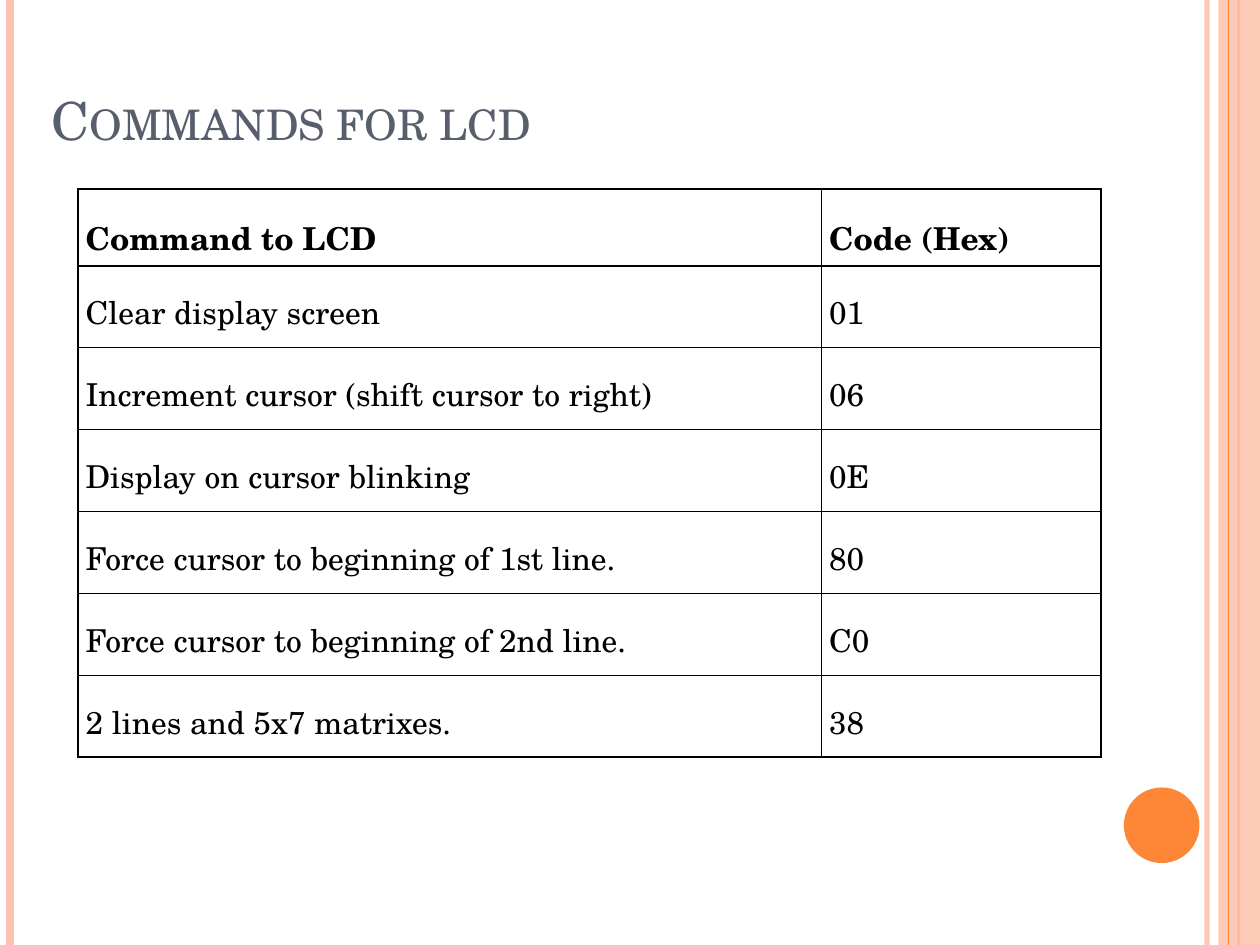
from lxml.etree import SubElement
from pptx import Presentation
from pptx.dml.color import RGBColor
from pptx.enum.shapes import MSO_CONNECTOR, MSO_SHAPE
from pptx.enum.text import MSO_ANCHOR, PP_ALIGN
from pptx.oxml import parse_xml
from pptx.oxml.ns import nsdecls, qn
from pptx.util import Inches, Pt

WIDE, HIGH = 10, 7.5
FONT = "TeX Gyre Schola"
HUES = {"peach": "FEC3AE", "orange": "FE8637", "slate": "575F6D", "black": "000000"}
COLS = [5.9, 2.22]
HEAD, ROW = 0.61, 0.65
ROWS = [
    ("Command to LCD", "Code (Hex)"),
    ("Clear display screen", "01"),
    ("Increment cursor (shift cursor to right)", "06"),
    ("Display on cursor blinking", "0E"),
    ("Force cursor to beginning of 1st line.", "80"),
    ("Force cursor to beginning of 2nd line.", "C0"),
    ("2 lines and 5x7 matrixes.", "38"),
]


def color(name):
    return RGBColor.from_string(HUES[name])


def fade(node, share):
    """Set the opacity, in percent, of the first solid colour in node."""
    hue = next(node.iter(qn("a:srgbClr")))
    SubElement(hue, qn("a:alpha")).set("val", str(share * 1000))


def write(frame, text, size=18, hue="black", bold=False, caps=False, space=None):
    para = frame.paragraphs[0]
    para.alignment = PP_ALIGN.LEFT
    para.line_spacing = space
    run = para.add_run()
    run.text = text
    font = run.font
    font.name, font.size, font.bold = FONT, Pt(size), bold
    font.color.rgb = color(hue)
    if caps:
        run.font._element.set("cap", "small")


def stripe(slide, x, hue, width, share=100):
    line = slide.shapes.add_connector(
        MSO_CONNECTOR.STRAIGHT, Inches(x), 0, Inches(x), Inches(HIGH))
    line.line.color.rgb = color(hue)
    line.line.width = Pt(width)
    props = line._element.spPr
    if share < 100:
        fade(props, share)
    SubElement(props, qn("a:effectLst"))


def block(slide, kind, box, hue, share=100):
    shape = slide.shapes.add_shape(kind, *map(Inches, box))
    shape.shadow.inherit = False
    shape.fill.solid()
    shape.fill.fore_color.rgb = color(hue)
    shape.line.fill.background()
    if share < 100:
        fade(shape._element.spPr, share)


def decor(slide):
    stripe(slide, 9.58, "peach", 3, share=93)
    stripe(slide, 0.08, "peach", 4.5)
    stripe(slide, 9.83, "orange", 1.5)
    block(slide, MSO_SHAPE.RECTANGLE, (9.67, 0, WIDE - 9.67, HIGH), "peach", share=87)
    stripe(slide, 9.75, "orange", 0.75)
    block(slide, MSO_SHAPE.OVAL, (8.92, 6.25, 0.6, 0.6), "orange")


def heading(slide, text):
    title = slide.shapes.title
    title.left, title.top = Inches(0.31), 0
    title.width, title.height = Inches(8.17), Inches(1.25)
    title.text_frame.vertical_anchor = MSO_ANCHOR.BOTTOM
    write(title.text_frame, text, size=30, hue="slate", caps=True)
    tree = slide.shapes._spTree
    tree.append(title._element)


def border(cell):
    props = cell._tc.get_or_add_tcPr()
    for spot, side in enumerate(("lnL", "lnR", "lnT", "lnB")):
        props.insert(spot, parse_xml(
            f'<a:{side} {nsdecls("a")} w="{Pt(1)}"><a:solidFill>'
            f'<a:srgbClr val="{HUES["black"]}"/></a:solidFill></a:{side}>'))


def grid(slide, left, top):
    high = HEAD + ROW * (len(ROWS) - 1)
    table = slide.shapes.add_table(
        len(ROWS), len(COLS), Inches(left), Inches(top),
        Inches(sum(COLS)), Inches(high)).table
    table.horz_banding = False
    for col, wide in zip(table.columns, COLS):
        col.width = Inches(wide)
    for r, texts in enumerate(ROWS):
        table.rows[r].height = Inches(ROW if r else HEAD)
        for c, text in enumerate(texts):
            cell = table.cell(r, c)
            cell.fill.background()
            cell.margin_left = cell.margin_right = Inches(0.06)
            cell.margin_top = cell.margin_bottom = 0
            write(cell.text_frame, text, bold=r == 0, space=1.5)
            border(cell)


def main():
    deck = Presentation()
    deck.slide_width, deck.slide_height = Inches(WIDE), Inches(HIGH)
    slide = deck.slides.add_slide(deck.slide_layouts[5])
    decor(slide)
    heading(slide, "Commands for lcd")
    grid(slide, 0.62, 1.5)
    deck.save("out.pptx")


if __name__ == "__main__":
    main()
